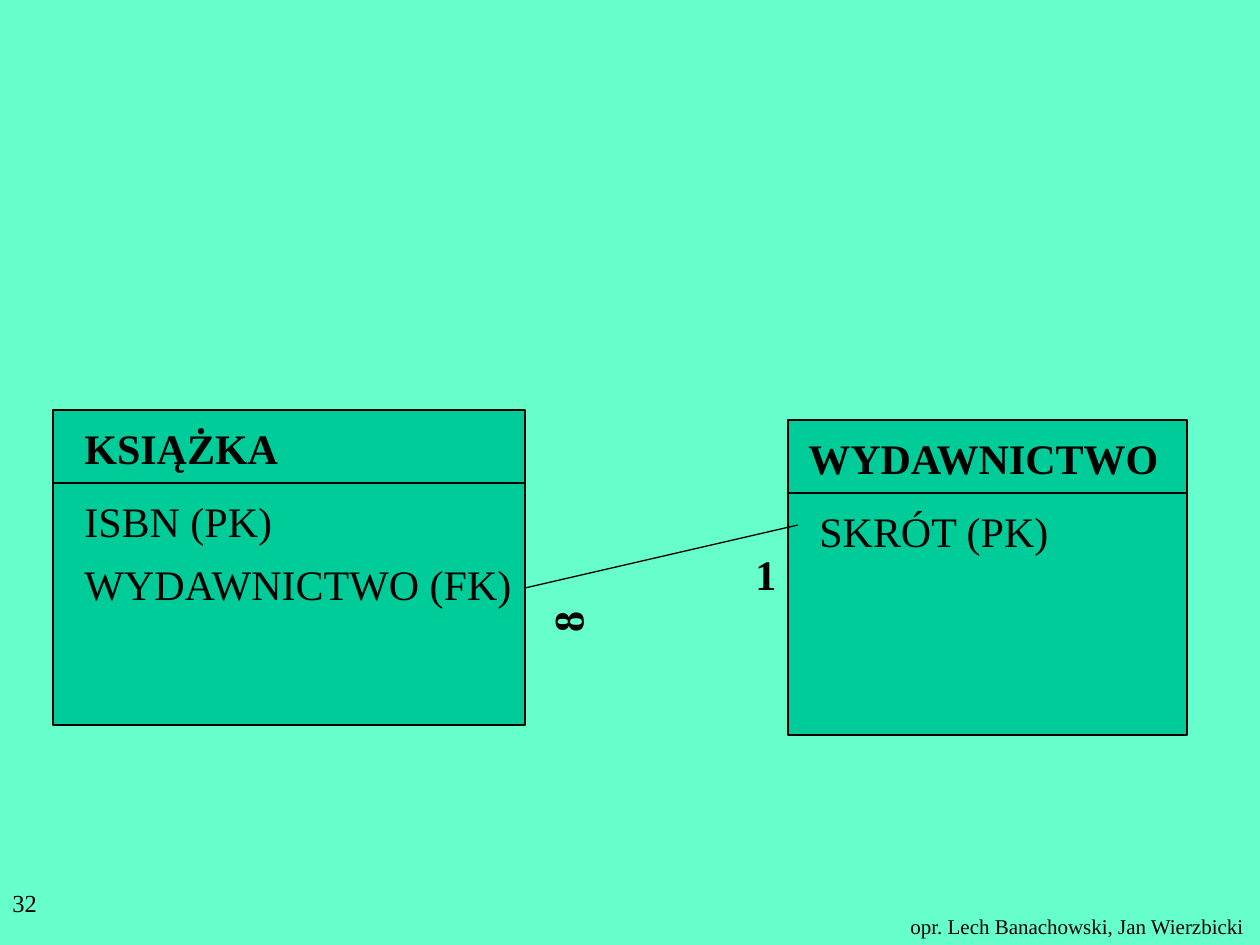
from lxml.etree import SubElement
from pptx import Presentation
from pptx.dml.color import RGBColor
from pptx.enum.shapes import MSO_CONNECTOR as CONN, MSO_SHAPE as SHAPE
from pptx.oxml.ns import qn
from pptx.util import Emu, Pt

COLORS = {"back": "66FFCC", "table": "00CC99", "ink": "000000"}
FONT = "Times New Roman"
PX = 914400 / 126
ROW = 63


def px(*lengths):
    """Turn pixel lengths into EMU."""
    return [Emu(round(n * PX)) for n in lengths]


def color(name):
    """Look up a palette colour."""
    return RGBColor.from_string(COLORS[name])


def add_text(shapes, text, box, size=24, bold=False, wrap=False):
    """Add a single-run label in the given box."""
    sp = shapes.add_textbox(*px(*box))
    tf = sp.text_frame
    tf.word_wrap = wrap
    r = tf.paragraphs[0].add_run()
    r.text = text
    r.font.name, r.font.size, r.font.bold = FONT, Pt(size), bold
    r.font.color.rgb = color("ink")
    return sp


def add_line(shapes, *ends):
    """Add a thin straight line between two points."""
    line = shapes.add_connector(CONN.STRAIGHT, *px(*ends))
    line.line.color.rgb = color("ink")
    line.line.width = Pt(0.75)
    SubElement(line._element.spPr, qn("a:effectLst"))


def add_entity(s, box, title, fields):
    """Draw a database table with a title row and its fields."""
    x, y, w, h = box
    shapes = s.shapes.add_group_shape().shapes
    sp = shapes.add_shape(SHAPE.RECTANGLE, *px(*box))
    sp.shadow.inherit = False
    sp.fill.solid()
    sp.fill.fore_color.rgb = color("table")
    sp.line.color.rgb = color("ink")
    sp.line.width = Pt(0.75)
    name, indent, width = title
    add_text(shapes, name, (x + indent, y + 6, width, ROW), bold=True)
    add_line(shapes, x, y + 73, x + w, y + 73)
    for i, (field, width) in enumerate(fields):
        add_text(shapes, field, (x + 19, y + 79 + i * ROW, width, ROW))


def add_relation(s, box):
    """Join the two tables and mark both ends of the relation."""
    x, y, w, h = box
    shapes = s.shapes.add_group_shape().shapes
    add_line(shapes, x, y + h, x + w, y)
    add_text(shapes, "1", (x + 218, y + 17, 46, ROW), bold=True)
    many = add_text(shapes, "8", (x + 19, y + 65, 46, ROW), bold=True)
    many.rotation = 270


def add_footer(s, box):
    """Place the page number and the authors."""
    x, y, w, h = box
    add_text(s.shapes, "32", (x, y, 262, h), size=14, wrap=True)
    add_text(s.shapes, "opr. Lech Banachowski, Jan Wierzbicki",
             (x + w - 362, y + 25, 360, 38), size=12)


def main():
    """Build the slide and save it."""
    prs = Presentation()
    prs.slide_width, prs.slide_height = px(1260, 945)
    s = prs.slides.add_slide(prs.slide_layouts[6])
    s.background.fill.solid()
    s.background.fill.fore_color.rgb = color("back")
    add_entity(s, (53, 410, 472, 315), ("KSIĄŻKA", 19, 219),
               [("ISBN (PK)", 213), ("WYDAWNICTWO (FK)", 455)])
    add_entity(s, (788, 420, 399, 315), ("WYDAWNICTWO", 8, 379),
               [("SKRÓT (PK)", 255)])
    add_relation(s, (525, 525, 273, 63))
    add_footer(s, (0, 882, 1260, 63))
    prs.save("out.pptx")


if __name__ == "__main__":
    main()
